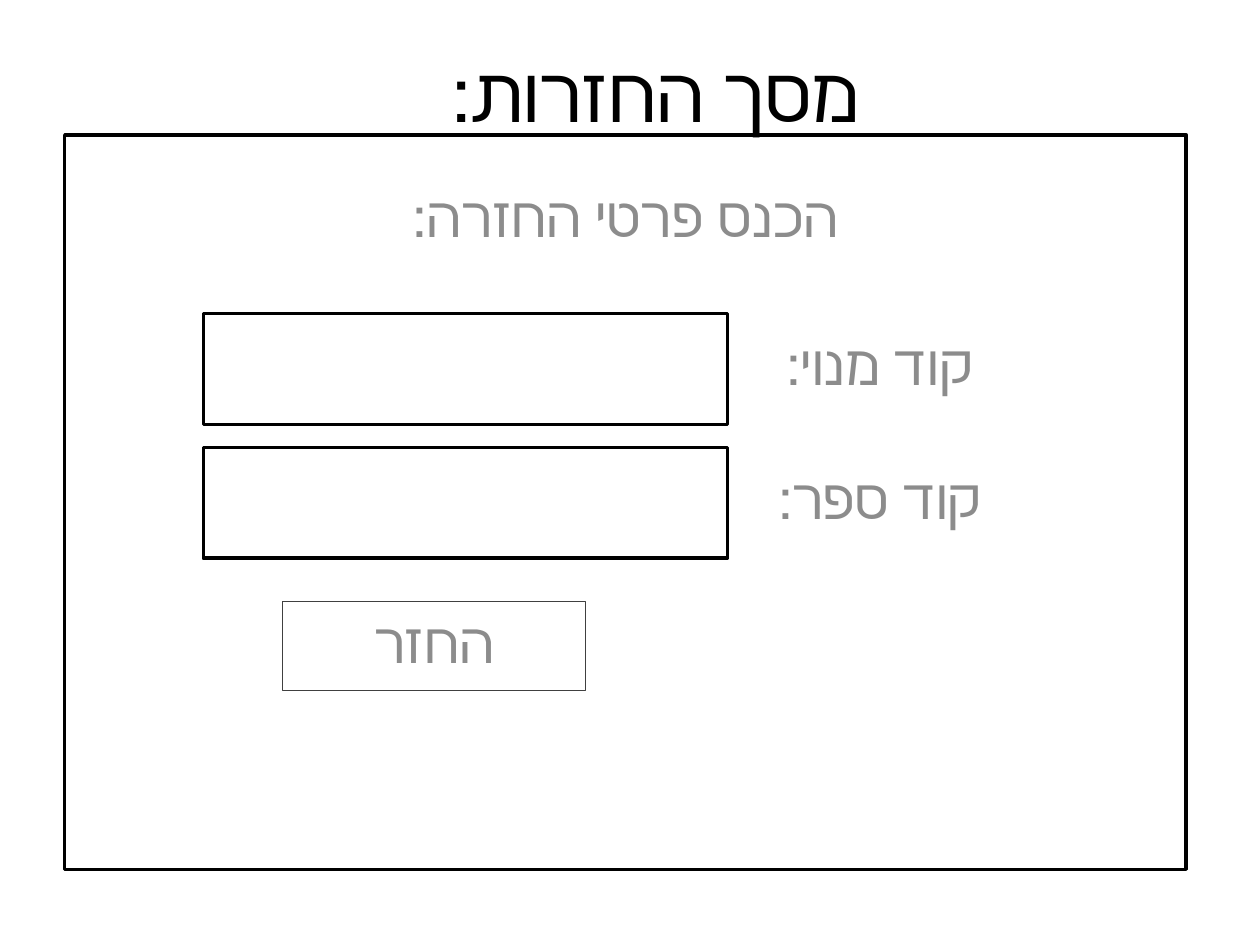
from dataclasses import dataclass

from pptx import Presentation
from pptx.dml.color import RGBColor
from pptx.enum.lang import MSO_LANGUAGE_ID
from pptx.enum.shapes import MSO_SHAPE
from pptx.enum.text import MSO_ANCHOR, PP_ALIGN
from pptx.util import Inches, Pt

COLORS = {"ink": "000000", "muted": "8C8C8C", "edge": "404040"}
FONT = "Calibri"
ROW_TOP, ROW_STEP = 33.17, 14.17
LINE_H = 9.47

prs = Presentation()
prs.slide_width, prs.slide_height = Inches(10), Inches(7.5)
s = prs.slides.add_slide(prs.slide_layouts[6])


@dataclass(frozen=True)
class Box:
    """Hold a position and size in percent of the slide."""
    x: float
    y: float
    w: float
    h: float

    def emu(self) -> tuple[int, int, int, int]:
        """Return the box in slide units."""
        return (int(prs.slide_width * self.x / 100), int(prs.slide_height * self.y / 100),
                int(prs.slide_width * self.w / 100), int(prs.slide_height * self.h / 100))


def write(sp, text: str, *, size: float = 32, color: str = "muted",
          before: float = 6.4, anchor: MSO_ANCHOR = MSO_ANCHOR.TOP) -> None:
    """Put one centred right-to-left paragraph into a shape."""
    tf = sp.text_frame
    tf.word_wrap = True
    tf.vertical_anchor = anchor
    p = tf.paragraphs[0]
    p.alignment = PP_ALIGN.CENTER
    p.space_before = Pt(before)
    p._p.get_or_add_pPr().set("rtl", "1")
    r = p.add_run()
    r.text = text
    r.font.size = Pt(size)
    r.font.name = FONT
    r.font.language_id = MSO_LANGUAGE_ID.HEBREW
    r.font.color.rgb = RGBColor.from_string(COLORS[color])


def add_label(box: Box, text: str, **fmt) -> None:
    """Add a text box."""
    write(s.shapes.add_textbox(*box.emu()), text, **fmt)


def add_frame(box: Box, color: str = "ink", width: float = 2):
    """Add an unfilled outlined rectangle."""
    sp = s.shapes.add_shape(MSO_SHAPE.RECTANGLE, *box.emu())
    sp.shadow.inherit = False
    sp.fill.background()
    sp.line.color.rgb = RGBColor.from_string(COLORS[color])
    sp.line.width = Pt(width)
    return sp


add_label(Box(28, 2.8, 48, 13.73), "מסך החזרות:", size=44, color="ink",
          before=0, anchor=MSO_ANCHOR.MIDDLE)
add_label(Box(22.7, 18.53, 53.9, LINE_H), "הכנס פרטי החזרה:")
add_frame(Box(5.14, 14.27, 89, 77.73))

for i, label in enumerate(("קוד מנוי:", "קוד ספר:")):
    top = ROW_TOP + i * ROW_STEP
    add_frame(Box(16.14, top, 41.6, 11.73))
    add_label(Box(57.8, top + 1.07, 24.1, LINE_H), label)

button = add_frame(Box(22.4, 63.63, 24.1, LINE_H), "edge", 0.75)
write(button, "החזר")

prs.save("out.pptx")
